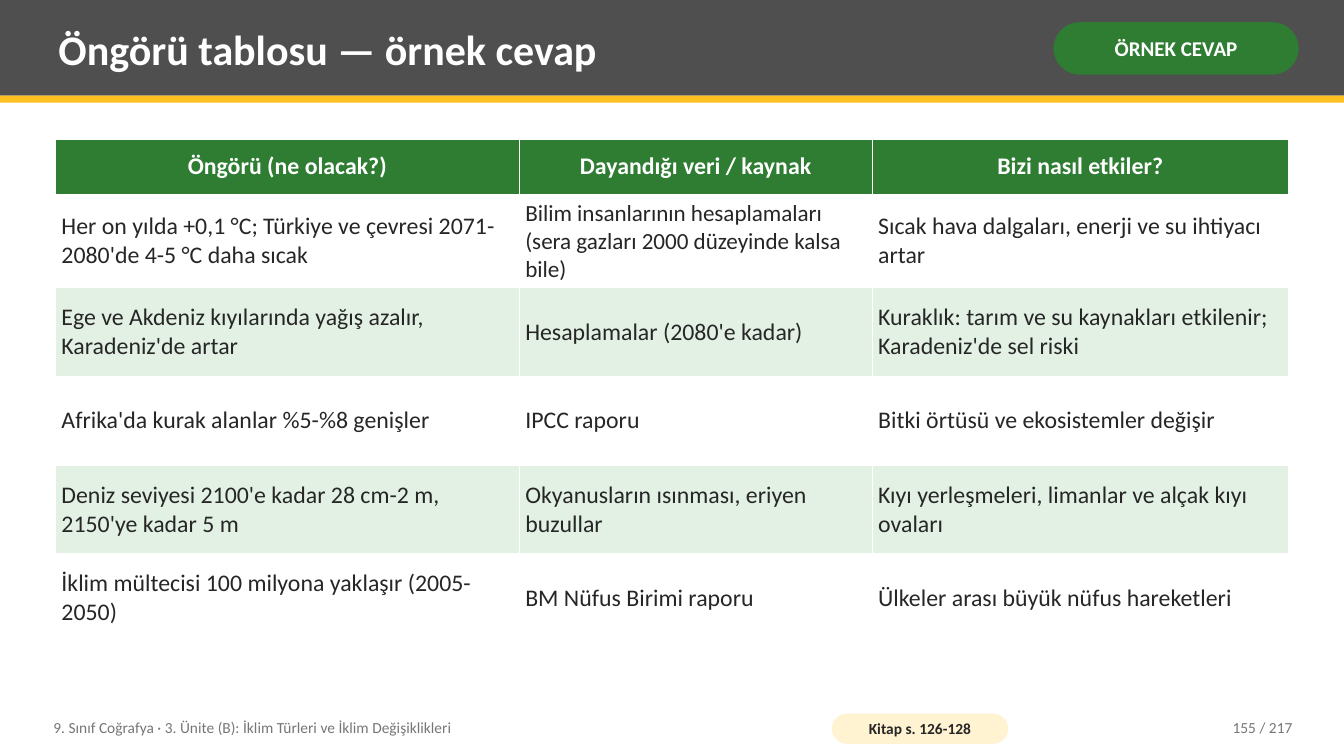
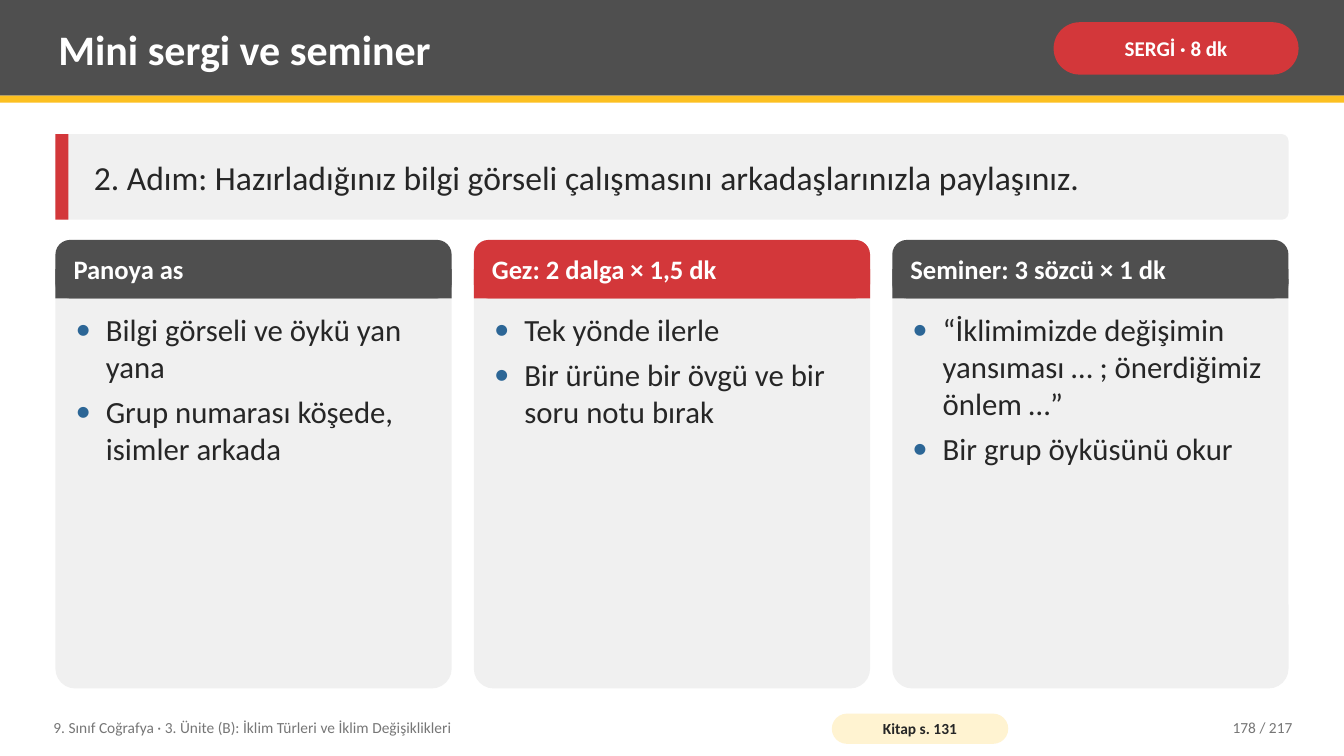
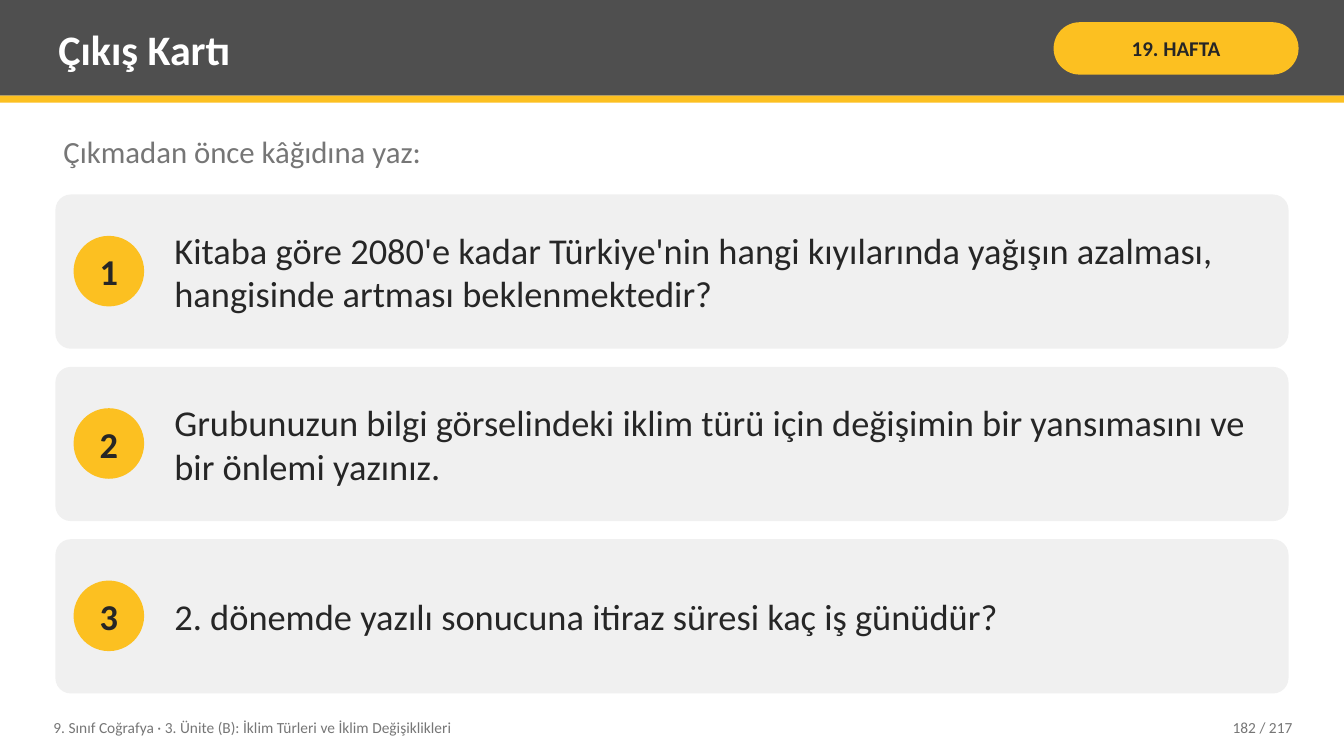
from lxml.etree import SubElement
from pptx import Presentation
from pptx.dml.color import RGBColor
from pptx.enum.shapes import MSO_SHAPE
from pptx.enum.text import MSO_ANCHOR, PP_ALIGN
from pptx.oxml.ns import qn
from pptx.util import Emu, Pt

PX = 9144
FONT = "Calibri"
COLORS = {
    "band": "4F4F4F",
    "yellow": "FCC021",
    "cream": "FFF3D1",
    "green": "2E7D32",
    "mint": "E3F1E4",
    "red": "D3373A",
    "blue": "2C6696",
    "panel": "F0F0F0",
    "ink": "262626",
    "muted": "767676",
    "white": "FFFFFF",
}
PAGE_WIDTH, PAGE_HEIGHT = 1333, 750
LEFT, WIDTH = 55, 1223
PAGE_TOTAL = 217
UNIT = "9. Sınıf Coğrafya · 3. Ünite (B): İklim Türleri ve İklim Değişiklikleri"


def px(*values):
    return [Emu(value * PX) for value in values]


def rgb(name):
    return RGBColor.from_string(COLORS[name])


def style(para, size, color, bold=False, align=None):
    para.alignment = align
    font = para.font
    font.name, font.size, font.bold = FONT, Pt(size), bold
    font.color.rgb = rgb(color)


def prepare_frame(frame, insets, anchor=MSO_ANCHOR.MIDDLE, wrap=True):
    frame.word_wrap = wrap
    frame.vertical_anchor = anchor
    horizontal, vertical = px(*insets)
    frame.margin_left = frame.margin_right = horizontal
    frame.margin_top = frame.margin_bottom = vertical


def add_block(page, box, color, kind=MSO_SHAPE.RECTANGLE, corner=None):
    shape = page.shapes.add_shape(kind, *px(*box))
    shape.shadow.inherit = False
    shape.fill.solid()
    shape.fill.fore_color.rgb = rgb(color)
    shape.line.fill.background()
    if corner is not None:
        shape.adjustments[0] = corner
    return shape


def add_rounded(page, box, color, corner):
    return add_block(page, box, color, MSO_SHAPE.ROUNDED_RECTANGLE, corner)


def add_label(shape, text, size, color, insets, wrap=True):
    frame = shape.text_frame
    prepare_frame(frame, insets, wrap=wrap)
    para = frame.paragraphs[0]
    para.text = text
    style(para, size, color, True, PP_ALIGN.CENTER)


def add_text(page, box, text, size, color, bold=False, align=None, anchor=MSO_ANCHOR.MIDDLE):
    frame = page.shapes.add_textbox(*px(*box)).text_frame
    prepare_frame(frame, (8, 4), anchor)
    para = frame.paragraphs[0]
    para.text = text
    style(para, size, color, bold, align)


def add_bullets(page, box, items):
    frame = page.shapes.add_textbox(*px(*box)).text_frame
    prepare_frame(frame, (8, 4), MSO_ANCHOR.TOP)
    for index, item in enumerate(items):
        para = frame.add_paragraph() if index else frame.paragraphs[0]
        para.text = item
        para.space_after = Pt(6)
        properties = para._p.get_or_add_pPr()
        properties.set("marL", str(30 * PX))
        properties.set("indent", str(-30 * PX))
        bullet_color = SubElement(properties, qn("a:buClr"))
        SubElement(bullet_color, qn("a:srgbClr"), val=COLORS["blue"])
        SubElement(properties, qn("a:buFont"), typeface=FONT)
        SubElement(properties, qn("a:buChar"), char="•")
        style(para, 22, "ink")


def add_header(page, title, tag, tag_color, tag_ink):
    add_block(page, (0, 0, PAGE_WIDTH, 95), "band")
    add_block(page, (0, 95, PAGE_WIDTH, 7), "yellow")
    add_text(page, (50, 7, 975, 82), title, 30, "white", True)
    pill = add_rounded(page, (1045, 22, 243, 52), tag_color, 0.5)
    add_label(pill, tag, 15, tag_ink, (5, 2))


def add_footer(page, number, source):
    add_text(page, (45, 704, 760, 36), UNIT, 11, "muted")
    if source:
        pill = add_rounded(page, (825, 708, 175, 30), "cream", 0.5)
        add_label(pill, source, 11, "ink", (4, 0))
    add_text(page, (1130, 704, 160, 36), f"{number} / {PAGE_TOTAL}", 11, "muted", align=PP_ALIGN.RIGHT)


def new_page(deck, title, tag, tag_color, number, source=None, tag_ink="white"):
    page = deck.slides.add_slide(deck.slide_layouts[6])
    add_header(page, title, tag, tag_color, tag_ink)
    add_footer(page, number, source)
    return page


def add_borders(cell):
    properties = cell._tc.get_or_add_tcPr()
    for index, side in enumerate(("a:lnL", "a:lnR", "a:lnT", "a:lnB")):
        line = properties.makeelement(qn(side), {"w": "12192"})
        fill = SubElement(line, qn("a:solidFill"))
        SubElement(fill, qn("a:srgbClr"), val=COLORS["white"])
        properties.insert(index, line)


def add_forecast_table(page, box, column_widths, rows, header_height, row_height):
    table = page.shapes.add_table(len(rows), len(column_widths), *px(*box)).table
    table.first_row = table.horz_banding = False
    for column, width in zip(table.columns, column_widths):
        column.width = Emu(width * PX)
    for row_index, texts in enumerate(rows):
        heading = row_index == 0
        table.rows[row_index].height = Emu((header_height if heading else row_height) * PX)
        fill = "green" if heading else ("mint" if row_index % 2 == 0 else "white")
        for column_index, text in enumerate(texts):
            cell = table.cell(row_index, column_index)
            cell.fill.solid()
            cell.fill.fore_color.rgb = rgb(fill)
            add_borders(cell)
            cell.vertical_anchor = MSO_ANCHOR.MIDDLE
            cell.margin_left, cell.margin_top, cell.margin_right, cell.margin_bottom = px(6, 5, 6, 5)
            para = cell.text_frame.paragraphs[0]
            para.text = text
            size = 16.5 if len(text) > 72 else 17
            if heading:
                style(para, size, "white", True, PP_ALIGN.CENTER)
            else:
                style(para, size, "ink")


def add_instruction(page, box, text):
    left, top, width, height = box
    add_rounded(page, box, "panel", 0.08)
    add_block(page, (left, top, 13, height), "red")
    add_text(page, (left + 30, top, width - 45, height), text, 24, "ink")


def add_card(page, box, title, color, items):
    left, top, width, height = box
    head = 58
    add_rounded(page, box, "panel", 0.05)
    add_rounded(page, (left, top, width, head), color, 0.25)
    add_block(page, (left, top + head // 2, width, head // 2), color)
    add_text(page, (left + 10, top, width - 20, head), title, 19, "white", True)
    add_bullets(page, (left + 12, top + head + 8, width - 24, height - head - 16), items)


def add_question(page, box, number, text):
    left, top, width, height = box
    circle = 70
    add_rounded(page, box, "panel", 0.1)
    badge_box = (left + 18, top + (height - circle) // 2, circle, circle)
    badge = add_block(page, badge_box, "yellow", MSO_SHAPE.OVAL)
    add_label(badge, str(number), 26, "ink", (0, 0), wrap=False)
    add_text(page, (left + 110, top, width - 130, height), text, 26, "ink")


def build_forecast_page(deck):
    page = new_page(deck, "Öngörü tablosu — örnek cevap", "ÖRNEK CEVAP", "green", 155, "Kitap s. 126-128")
    rows = [
        ("Öngörü (ne olacak?)", "Dayandığı veri / kaynak", "Bizi nasıl etkiler?"),
        (
            "Her on yılda +0,1 °C; Türkiye ve çevresi 2071-2080'de 4-5 °C daha sıcak",
            "Bilim insanlarının hesaplamaları (sera gazları 2000 düzeyinde kalsa bile)",
            "Sıcak hava dalgaları, enerji ve su ihtiyacı artar",
        ),
        (
            "Ege ve Akdeniz kıyılarında yağış azalır, Karadeniz'de artar",
            "Hesaplamalar (2080'e kadar)",
            "Kuraklık: tarım ve su kaynakları etkilenir; Karadeniz'de sel riski",
        ),
        (
            "Afrika'da kurak alanlar %5-%8 genişler",
            "IPCC raporu",
            "Bitki örtüsü ve ekosistemler değişir",
        ),
        (
            "Deniz seviyesi 2100'e kadar 28 cm-2 m, 2150'ye kadar 5 m",
            "Okyanusların ısınması, eriyen buzullar",
            "Kıyı yerleşmeleri, limanlar ve alçak kıyı ovaları",
        ),
        (
            "İklim mültecisi 100 milyona yaklaşır (2005-2050)",
            "BM Nüfus Birimi raporu",
            "Ülkeler arası büyük nüfus hareketleri",
        ),
    ]
    add_forecast_table(page, (LEFT, 138, WIDTH, 495), (460, 350, 413), rows, 55, 88)


def build_exhibition_page(deck):
    page = new_page(deck, "Mini sergi ve seminer", "SERGİ · 8 dk", "red", 178, "Kitap s. 131")
    instruction = "2. Adım: Hazırladığınız bilgi görseli çalışmasını arkadaşlarınızla paylaşınız."
    add_instruction(page, (LEFT, 133, WIDTH, 85), instruction)
    cards = [
        ("Panoya as", "band", ("Bilgi görseli ve öykü yan yana", "Grup numarası köşede, isimler arkada")),
        ("Gez: 2 dalga × 1,5 dk", "red", ("Tek yönde ilerle", "Bir ürüne bir övgü ve bir soru notu bırak")),
        (
            "Seminer: 3 sözcü × 1 dk",
            "band",
            ("“İklimimizde değişimin yansıması … ; önerdiğimiz önlem …”", "Bir grup öyküsünü okur"),
        ),
    ]
    gap = 22
    width = (WIDTH - gap * (len(cards) - 1)) // len(cards)
    for index, card in enumerate(cards):
        add_card(page, (LEFT + index * (width + gap), 238, width, 445), *card)


def build_exit_page(deck):
    page = new_page(deck, "Çıkış Kartı", "19. HAFTA", "yellow", 182, tag_ink="ink")
    add_text(page, (LEFT, 128, WIDTH, 55), "Çıkmadan önce kâğıdına yaz:", 22, "muted", anchor=MSO_ANCHOR.TOP)
    questions = [
        "Kitaba göre 2080'e kadar Türkiye'nin hangi kıyılarında yağışın azalması, "
        "hangisinde artması beklenmektedir?",
        "Grubunuzun bilgi görselindeki iklim türü için değişimin bir yansımasını ve bir önlemi yazınız.",
        "2. dönemde yazılı sonucuna itiraz süresi kaç iş günüdür?",
    ]
    height, gap = 153, 18
    for index, question in enumerate(questions):
        add_question(page, (LEFT, 193 + index * (height + gap), WIDTH, height), index + 1, question)


def main():
    deck = Presentation()
    deck.slide_width, deck.slide_height = px(PAGE_WIDTH, PAGE_HEIGHT)
    build_forecast_page(deck)
    build_exhibition_page(deck)
    build_exit_page(deck)
    deck.save("out.pptx")


if __name__ == "__main__":
    main()
